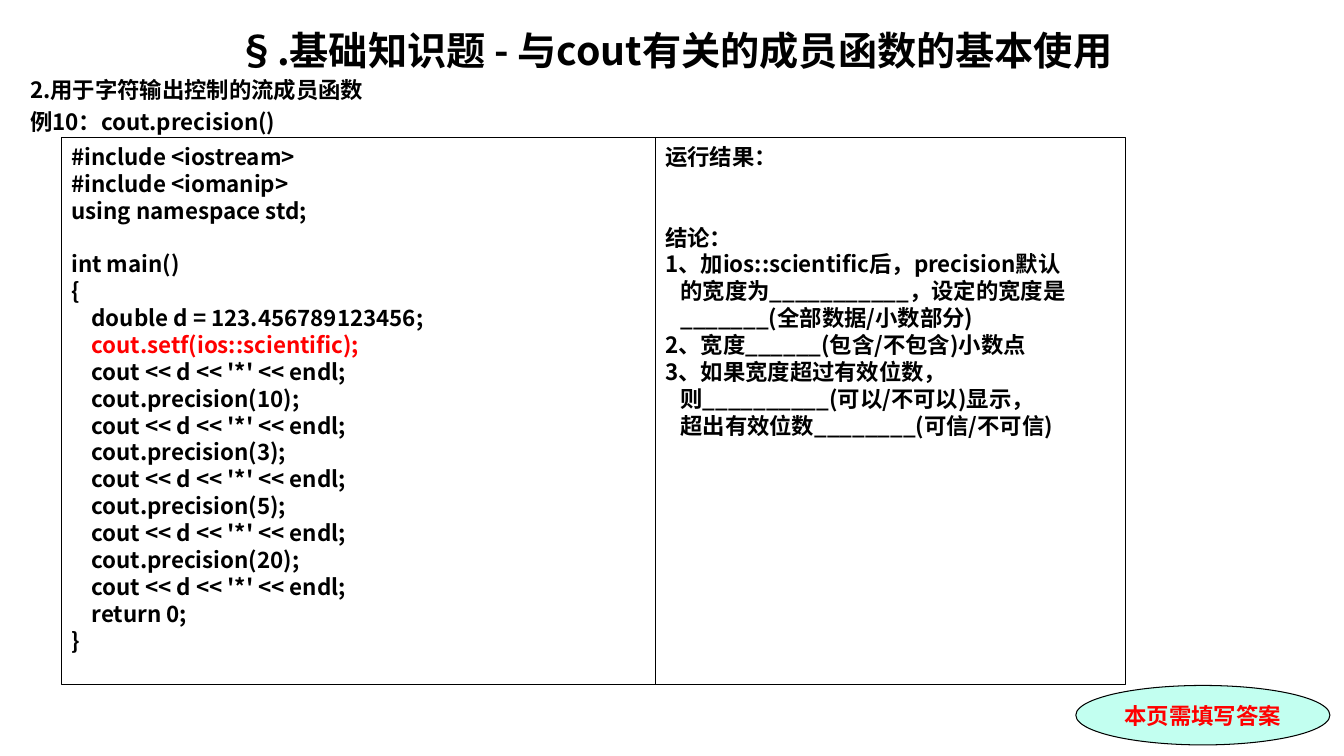
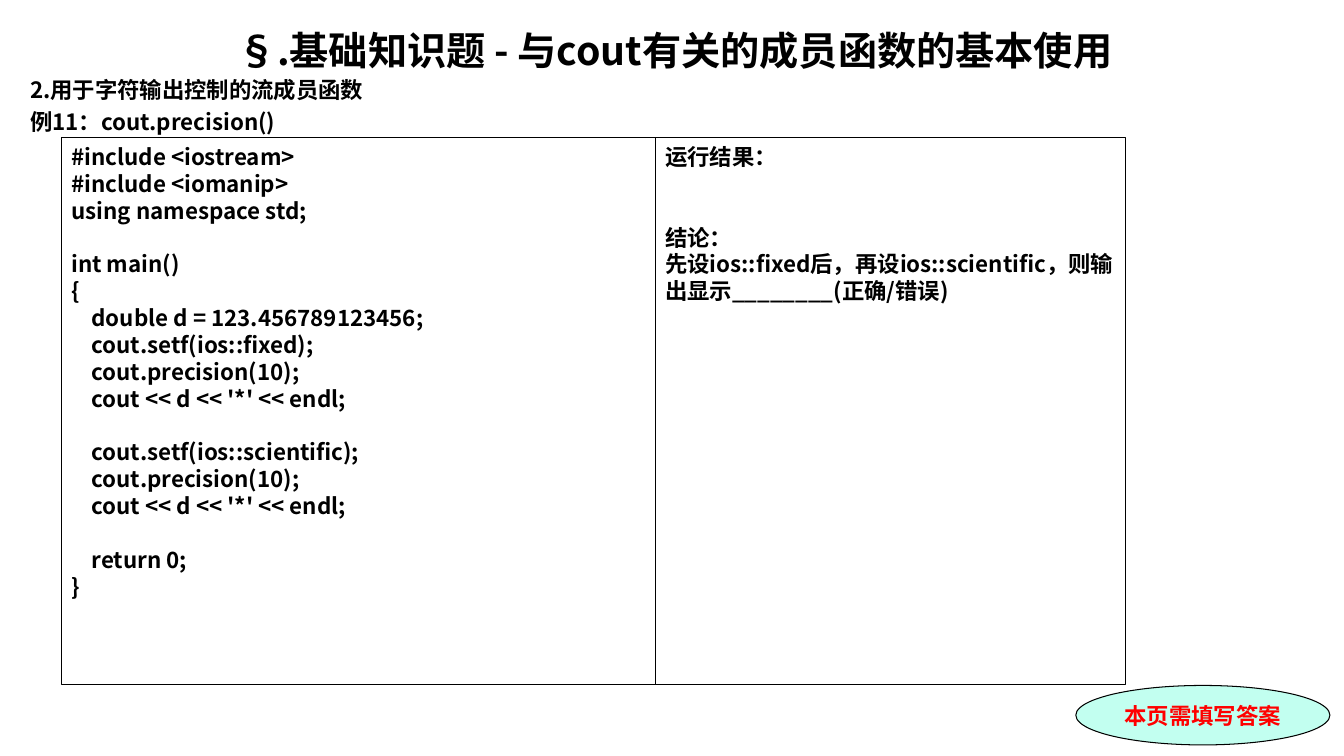
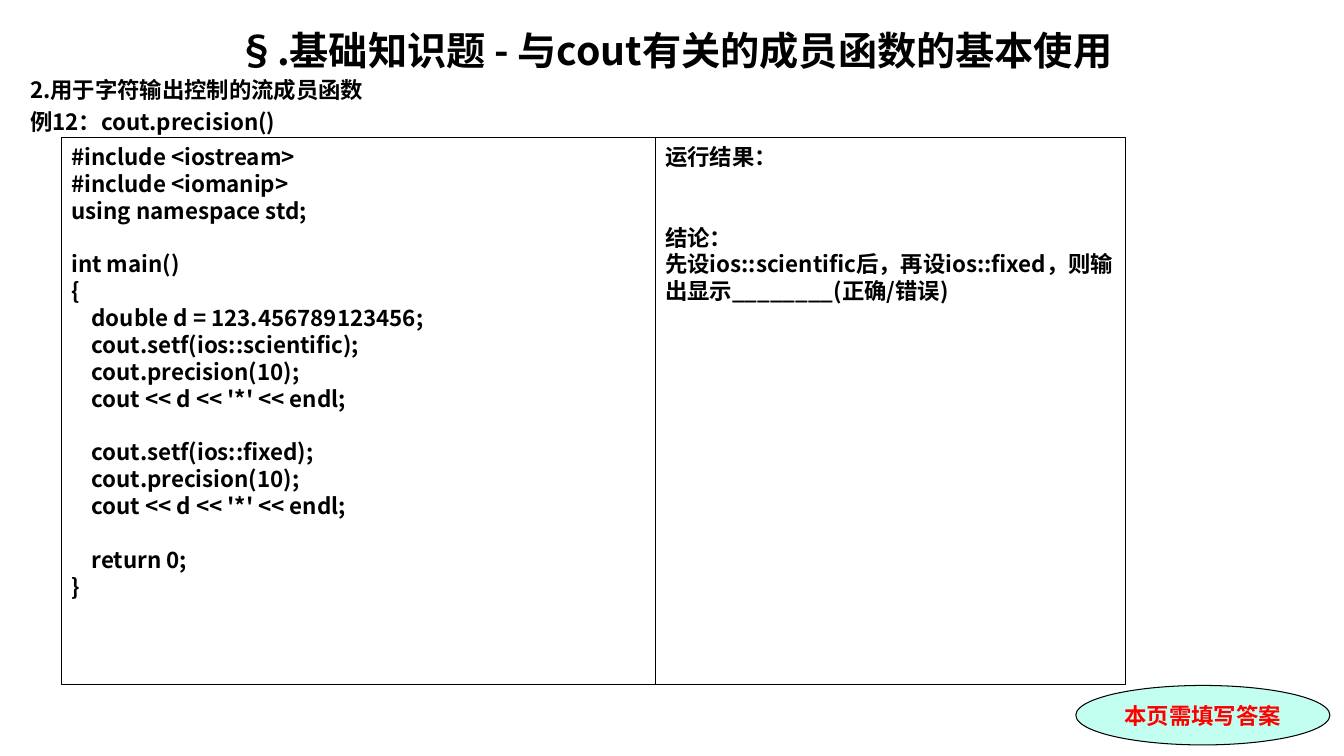
from pptx import Presentation
from pptx.dml.color import RGBColor
from pptx.enum.shapes import MSO_SHAPE
from pptx.enum.text import MSO_ANCHOR, PP_ALIGN
from pptx.oxml.ns import qn
from pptx.util import Inches, Pt
from lxml import etree

RECT, ELLIPSE = MSO_SHAPE.RECTANGLE, MSO_SHAPE.OVAL
TOP, MIDDLE = MSO_ANCHOR.TOP, MSO_ANCHOR.MIDDLE
LEFT, CENTER = PP_ALIGN.LEFT, PP_ALIGN.CENTER

COLORS = {"ink": "000000", "accent": "FF0000", "badge": "C2FFF0"}
FONT, BADGE_FONT = "Noto Sans CJK SC", "Times New Roman"
TITLE_SIZE, BODY_SIZE, LEADING = 28, 16, 1.2
LINE = BODY_SIZE * LEADING
CODE_INDENT, NOTE_INDENT = 0.2, 0.15

TITLE = "§.基础知识题 - 与cout有关的成员函数的基本使用"
SECTION = "2.用于字符输出控制的流成员函数"
BADGE = "本页需填写答案"
PRINT = "cout << d << '*' << endl;"
DECLARE = "double d = 123.456789123456;"
SCIENTIFIC, FIXED = "ios::scientific", "ios::fixed"


def lines(*texts, gap=0, indent=0, color="ink"):
    return [
        {"text": t, "before": 0 if i else gap * LINE, "indent": indent, "color": color}
        for i, t in enumerate(texts)
    ]


def program(*body):
    return (
        lines("#include <iostream>", "#include <iomanip>", "using namespace std;")
        + lines("int main()", "{", gap=1)
        + lines(DECLARE, indent=CODE_INDENT)
        + sum(body, [])
        + lines("}")
    )


def answer(*notes):
    return lines("运行结果：") + lines("结论：", gap=2) + sum(notes, [])


def two_modes(first, second):
    def block(mode, gap):
        return lines(f"cout.setf({mode});", "cout.precision(10);", PRINT,
                     gap=gap, indent=CODE_INDENT)

    return (
        program(block(first, 0), block(second, 1),
                lines("return 0;", gap=1, indent=CODE_INDENT)),
        answer(lines(f"先设{first}后，再设{second}，则输出显示________(正确/错误)")),
    )


precision_steps = [t for n in (10, 3, 5, 20) for t in (f"cout.precision({n});", PRINT)]
SLIDES = [
    ("例10：cout.precision()", (
        program(
            lines("cout.setf(ios::scientific);", indent=CODE_INDENT, color="accent"),
            lines(PRINT, *precision_steps, "return 0;", indent=CODE_INDENT),
        ),
        answer(
            lines("1、加ios::scientific后，precision默认"),
            lines("的宽度为___________，设定的宽度是", "_______(全部数据/小数部分)",
                  indent=NOTE_INDENT),
            lines("2、宽度______(包含/不包含)小数点", "3、如果宽度超过有效位数，"),
            lines("则__________(可以/不可以)显示，", "超出有效位数________(可信/不可信)",
                  indent=NOTE_INDENT),
        ),
    )),
    ("例11：cout.precision()", two_modes(FIXED, SCIENTIFIC)),
    ("例12：cout.precision()", two_modes(SCIENTIFIC, FIXED)),
]


def rgb(name):
    return RGBColor.from_string(COLORS[name])


def write(sp, paragraphs, wrap=True, anchor=TOP, inset=0.06):
    tf = sp.text_frame
    frame = {"word_wrap": wrap, "vertical_anchor": anchor, "margin_left": Inches(0.1),
             "margin_right": Inches(0.1), "margin_top": Inches(inset),
             "margin_bottom": Inches(0.05)}
    for name, value in frame.items():
        setattr(tf, name, value)
    for i, item in enumerate(paragraphs):
        p = tf.paragraphs[0] if i == 0 else tf.add_paragraph()
        size = item.get("size", BODY_SIZE)
        layout = {"alignment": item.get("align", LEFT), "space_after": Pt(0),
                  "space_before": Pt(item["before"]), "line_spacing": Pt(size * LEADING)}
        for name, value in layout.items():
            setattr(p, name, value)
        if item["indent"]:
            p._p.get_or_add_pPr().set("marL", str(Inches(item["indent"])))
        r = p.add_run()
        r.text = item["text"]
        for name, value in {"size": Pt(size), "bold": True,
                            "name": item.get("font", FONT)}.items():
            setattr(r.font, name, value)
        r.font.color.rgb = rgb(item["color"])
        etree.SubElement(r._r.get_or_add_rPr(), qn("a:ea")).set("typeface", FONT)


def add_box(s, kind, box, fill=None):
    sp = s.shapes.add_shape(kind, *map(Inches, box))
    sp.shadow.inherit = False
    if fill:
        sp.fill.solid()
        sp.fill.fore_color.rgb = rgb(fill)
    else:
        sp.fill.background()
    sp.line.color.rgb = rgb("ink")
    sp.line.width = Pt(0.75)
    return sp


def add_header(s, example):
    sp = s.shapes.add_textbox(*map(Inches, (0.2, 0.18, 12.99, 1.18)))
    head = lines(TITLE, SECTION, example)
    head[0].update(size=TITLE_SIZE, align=CENTER)
    head[1]["before"], head[2]["before"] = 2, 3.5
    write(sp, head, inset=0.08)


def add_badge(s):
    sp = add_box(s, ELLIPSE, (10.67, 6.8, 2.52, 0.59), "badge")
    label = lines(BADGE, color="accent")
    label[0].update(align=CENTER, font=BADGE_FONT)
    write(sp, label, wrap=False, anchor=MIDDLE, inset=0.05)


def main():
    prs = Presentation()
    prs.slide_width, prs.slide_height = Inches(13.33), Inches(7.5)
    for example, panels in SLIDES:
        s = prs.slides.add_slide(prs.slide_layouts[6])
        add_header(s, example)
        left = 0.61
        for width, content in zip((5.89, 4.66), panels):
            write(add_box(s, RECT, (left, 1.36, width, 5.43)), content)
            left += width
        add_badge(s)
    prs.save("out.pptx")


if __name__ == "__main__":
    main()
